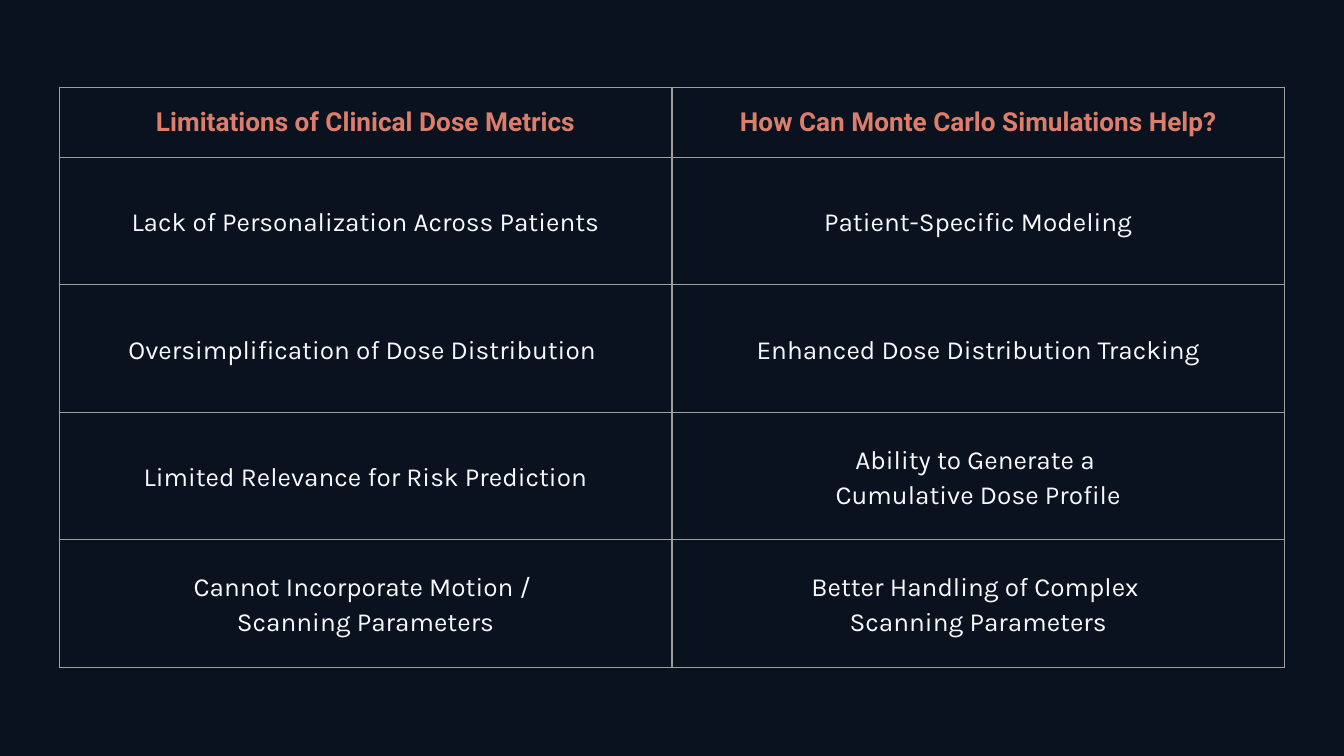
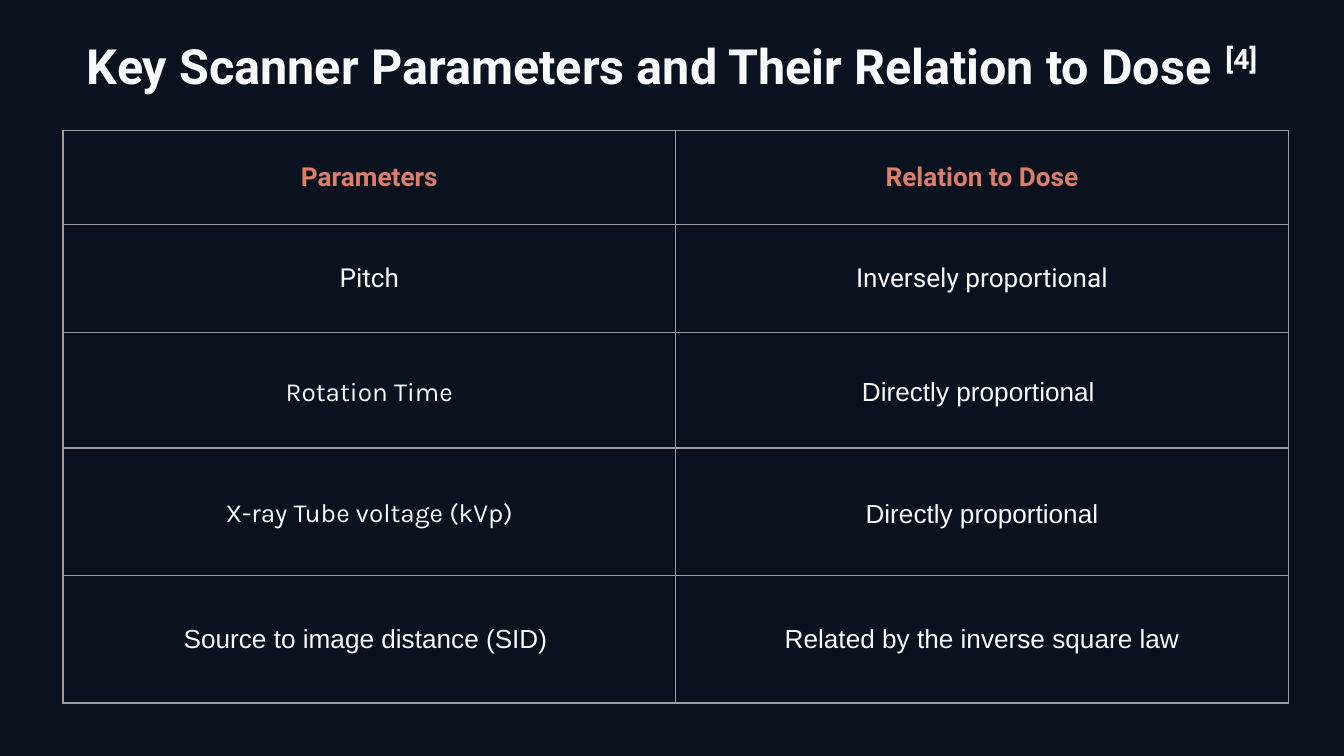
from lxml import etree
from pptx import Presentation
from pptx.dml.color import RGBColor
from pptx.enum.text import MSO_ANCHOR, PP_ALIGN
from pptx.oxml.ns import qn
from pptx.util import Cm, Pt

CENTER = PP_ALIGN.CENTER
MIDDLE = MSO_ANCHOR.MIDDLE
COLORS = {"background": "0B121F", "heading": "DD7E6B", "body": "F8F9FB", "border": "9E9E9E"}
INSET = Cm(0.25)
COLUMN_WIDTH = Cm(11.58)
BORDER_WIDTH = Pt(0.75)


def add_run(paragraph, text, font, size, color, bold):
    paragraph.alignment = CENTER
    run = paragraph.add_run()
    run.text = text
    run.font.name = font
    run.font.size = Pt(size)
    run.font.bold = bold
    run.font.color.rgb = RGBColor.from_string(COLORS[color])
    return run


def add_comparison(slide, left, top, row_heights, rows):
    comparison = slide.shapes.add_table(
        len(rows), 2, Cm(left), Cm(top), COLUMN_WIDTH * 2, Cm(sum(row_heights))
    ).table
    comparison.first_row = False
    comparison.horz_banding = False
    for column in comparison.columns:
        column.width = COLUMN_WIDTH
    for row_index, (height, entries) in enumerate(zip(row_heights, rows)):
        comparison.rows[row_index].height = Cm(height)
        is_heading = row_index == 0
        for column_index, (text, font, line_spacing, space_after) in enumerate(entries):
            cell = comparison.cell(row_index, column_index)
            cell.vertical_anchor = MIDDLE
            cell.margin_left = cell.margin_right = INSET
            cell.margin_top = cell.margin_bottom = INSET
            properties = cell._tc.get_or_add_tcPr()
            for side in ("a:lnL", "a:lnR", "a:lnT", "a:lnB"):
                border = etree.SubElement(properties, qn(side), w=str(BORDER_WIDTH))
                border_fill = etree.SubElement(border, qn("a:solidFill"))
                etree.SubElement(border_fill, qn("a:srgbClr"), val=COLORS["border"])
            cell.fill.background()
            frame = cell.text_frame
            for line_index, line in enumerate(text.split("\n")):
                paragraph = frame.add_paragraph() if line_index else frame.paragraphs[0]
                paragraph.line_spacing = line_spacing
                paragraph.space_after = Pt(space_after)
                add_run(paragraph, line, font, 14, "heading" if is_heading else "body", is_heading)


presentation = Presentation()
presentation.slide_width = Cm(25.4)
presentation.slide_height = Cm(14.29)

slides = []
for _ in range(2):
    slide = presentation.slides.add_slide(presentation.slide_layouts[6])
    slide.background.fill.solid()
    slide.background.fill.fore_color.rgb = RGBColor.from_string(COLORS["background"])
    slides.append(slide)
limitations_slide, parameters_slide = slides

limitations = [
    ("Limitations of Clinical Dose Metrics", "How Can Monte Carlo Simulations Help?"),
    ("Lack of Personalization Across Patients", "Patient-Specific Modeling"),
    ("Oversimplification of Dose Distribution ", "Enhanced Dose Distribution Tracking"),
    ("Limited Relevance for Risk Prediction", "Ability to Generate a \nCumulative Dose Profile"),
    ("Cannot Incorporate Motion / \nScanning Parameters",
     "Better Handling of Complex \nScanning Parameters"),
]
limitation_rows = [
    [(text, "Karla", 1.15, 0) if index else (text, "Roboto", 1.0, 0) for text in pair]
    for index, pair in enumerate(limitations)
]
add_comparison(limitations_slide, 1.12, 1.65, [1.32] + [2.41] * 4, limitation_rows)

parameter_rows = [
    [("Parameters", "Roboto", 1.0, 0), ("Relation to Dose", "Roboto", 1.0, 0)],
    [("Pitch", "Roboto", 1.0, 0), ("Inversely proportional", "Roboto", 1.0, 0)],
    [("Rotation Time", "Karla", 1.15, 0), ("Directly proportional ", "Arial", 1.15, 0)],
    [("X-ray Tube voltage (kVp)", "Karla", 1.15, 12), ("Directly proportional", "Arial", 1.15, 0)],
    [("Source to image distance (SID) ", "Arial", 1.0, 0),
     ("Related by the inverse square law", "Arial", 1.0, 0)],
]
add_comparison(parameters_slide, 1.19, 2.46, [1.78, 2.05, 2.18, 2.41, 2.41], parameter_rows)

title_frame = parameters_slide.shapes.add_textbox(0, Cm(0.43), Cm(25.4), Cm(1.63)).text_frame
title_frame.word_wrap = True
title_frame.margin_left = title_frame.margin_right = INSET
title_frame.margin_top = title_frame.margin_bottom = INSET
title = title_frame.paragraphs[0]
add_run(title, "Key Scanner Parameters and Their Relation to Dose ", "Roboto", 26, "body", True)
citation = add_run(title, "[4]", "Roboto", 26, "body", True)
citation.font._element.set("baseline", "30000")

presentation.save("out.pptx")
